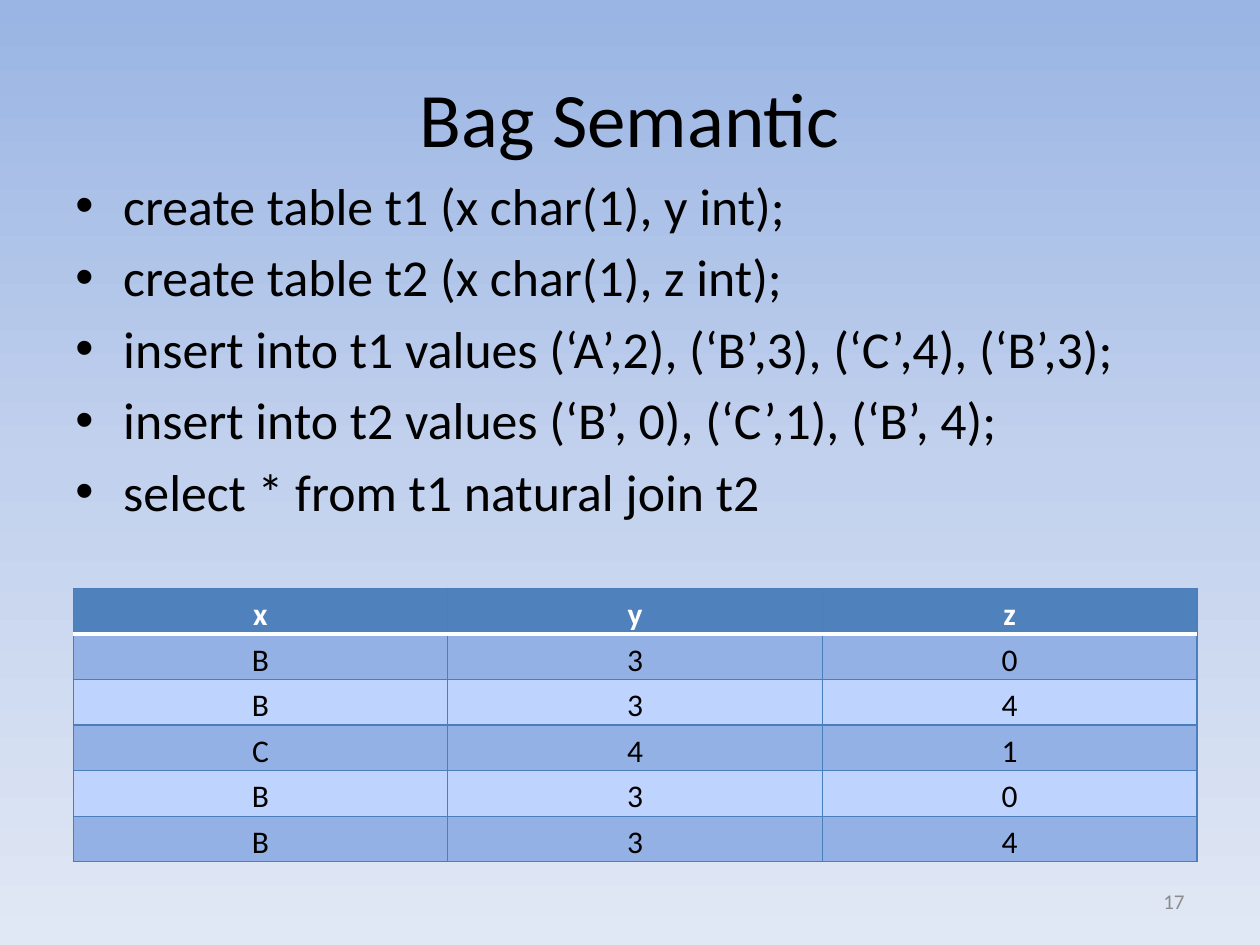
from copy import deepcopy
from pptx import Presentation
from pptx.dml.color import RGBColor as RGB
from pptx.enum.text import MSO_ANCHOR as Anchor, PP_ALIGN as Align
from pptx.oxml import parse_xml
from pptx.oxml.ns import nsdecls, qn
from pptx.util import Inches, Pt

COLORS = {
    "top": "9AB5E4", "mid": "C2D1ED", "low": "E1E8F5",
    "text": "000000", "white": "FFFFFF", "gray": "8C8C8C",
    "head": "4F81BD", "odd": "93B1E4", "even": "BFD3FF", "edge": "4B7EBC",
}


def add_run(para, text, size, color, bold=False):
    run = para.add_run()
    run.text = text
    font = run.font
    font.name, font.size, font.bold = "Calibri", Pt(size), bold
    font.color.rgb = RGB.from_string(COLORS[color])


def add_box(left, top, width, height, anchor):
    box = slide.shapes.add_textbox(Inches(left), Inches(top), Inches(width), Inches(height))
    frame = box.text_frame
    frame.word_wrap = True
    frame.vertical_anchor = anchor
    return frame


prs = Presentation()
prs.slide_width, prs.slide_height = Inches(10), Inches(7.5)
slide = prs.slides.add_slide(prs.slide_layouts[6])

# Background gradient, top to bottom
fill = slide.background.fill
fill.gradient()
fill.gradient_angle = 270
stops = slide.element.find(".//" + qn("a:gsLst"))
stops.append(deepcopy(stops[0]))
for stop, pos, name in zip(fill.gradient_stops, (0, 0.5, 1), ("top", "mid", "low")):
    stop.position = pos
    stop.color.rgb = RGB.from_string(COLORS[name])

# Title
para = add_box(0.5, 0.3, 9, 1.25, Anchor.MIDDLE).paragraphs[0]
para.alignment = Align.CENTER
add_run(para, "Bag Semantic", 44, "text")

# Bulleted statements
lines = [
    "create table t1 (x char(1), y int);",
    "create table t2 (x char(1), z int);",
    "insert into t1 values (‘A’,2), (‘B’,3), (‘C’,4), (‘B’,3);",
    "insert into t2 values (‘B’, 0), (‘C’,1), (‘B’, 4);",
    "select * from t1 natural join t2",
]
body = add_box(0.5, 1.33, 9, 3.25, Anchor.TOP)
for i, line in enumerate(lines):
    para = body.add_paragraph() if i else body.paragraphs[0]
    para.space_before = Pt(5.3)
    props = para._p.get_or_add_pPr()
    props.set("marL", str(Inches(0.38)))
    props.set("indent", str(-Inches(0.38)))
    props.append(parse_xml(f'<a:buFont {nsdecls("a")} typeface="Arial"/>'))
    props.append(parse_xml(f'<a:buChar {nsdecls("a")} char="•"/>'))
    add_run(para, line, 29.6, "text")

# Join result
rows = ["xyz", "B30", "B34", "C41", "B30", "B34"]
table = slide.shapes.add_table(
    len(rows), 3, Inches(0.58), Inches(4.67), Inches(8.92), Inches(2.17)).table
for r, row in enumerate(rows):
    head = r == 0
    shade = "head" if head else "odd" if r % 2 else "even"
    for c, text in enumerate(row):
        cell = table.cell(r, c)
        cell.margin_left = cell.margin_right = cell.margin_top = Inches(0.01)
        cell.margin_bottom = 0
        cell.vertical_anchor = Anchor.BOTTOM
        for side in "LRTB":
            rule = (side == "B" and r == 0) or (side == "T" and r == 1)
            color, width = ("white", 2) if rule else ("edge", 0.75)
            cell._tc.get_or_add_tcPr().append(parse_xml(
                f'<a:ln{side} {nsdecls("a")} w="{Pt(width)}"><a:solidFill>'
                f'<a:srgbClr val="{COLORS[color]}"/></a:solidFill></a:ln{side}>'))
        cell.fill.solid()
        cell.fill.fore_color.rgb = RGB.from_string(COLORS[shade])
        para = cell.text_frame.paragraphs[0]
        para.alignment = Align.CENTER
        add_run(para, text, 18, "white" if head else "text", head)

# Slide number
para = add_box(7.17, 6.95, 2.33, 0.4, Anchor.MIDDLE).paragraphs[0]
para.alignment = Align.RIGHT
add_run(para, "17", 12, "gray")

prs.save("out.pptx")
